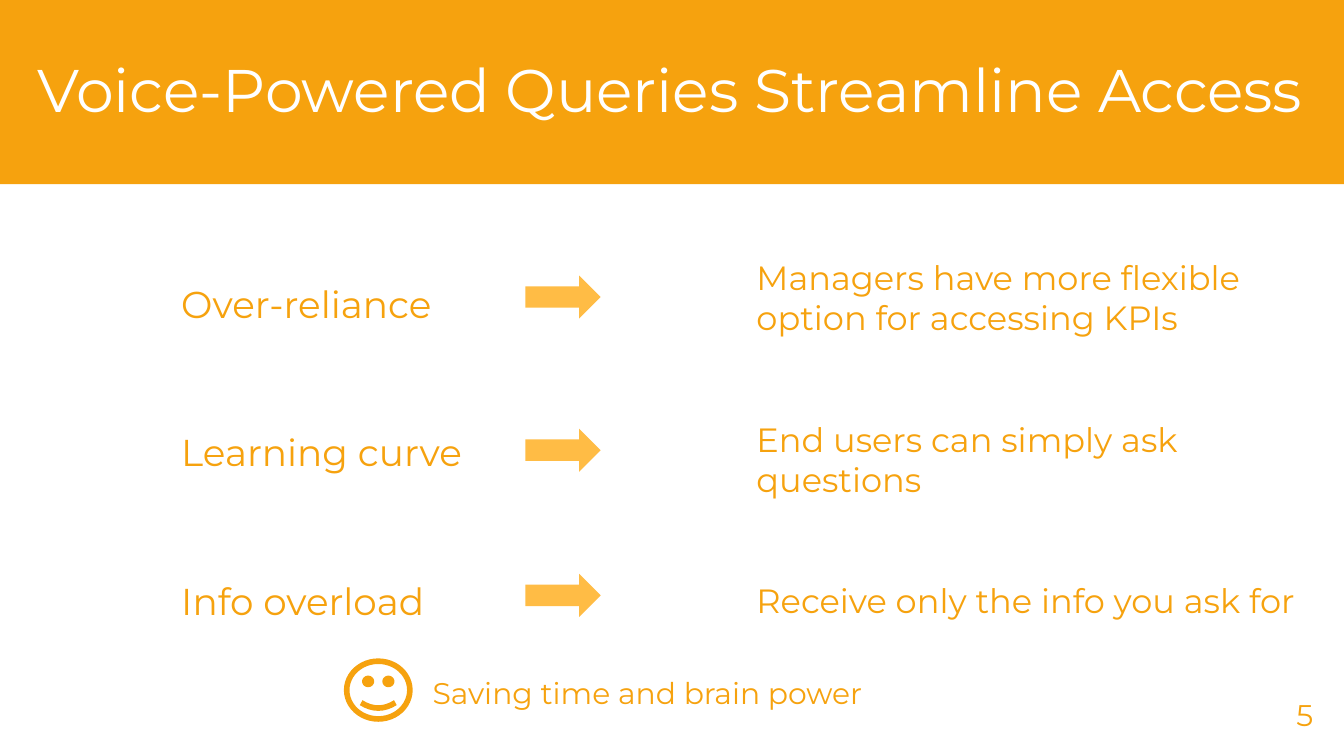
"""Build the slide on how voice-powered queries streamline access."""
from dataclasses import dataclass

from pptx import Presentation
from pptx.dml.color import RGBColor
from pptx.enum.shapes import MSO_SHAPE
from pptx.enum.text import MSO_ANCHOR, PP_ALIGN
from pptx.util import Inches, Pt

RECTANGLE = MSO_SHAPE.RECTANGLE
RIGHT_ARROW = MSO_SHAPE.RIGHT_ARROW
SMILEY = MSO_SHAPE.SMILEY_FACE
TOP, MIDDLE = MSO_ANCHOR.TOP, MSO_ANCHOR.MIDDLE
LEFT, RIGHT = PP_ALIGN.LEFT, PP_ALIGN.RIGHT


@dataclass(frozen=True)
class Theme:
    font: str = "Montserrat"
    orange: RGBColor = RGBColor(0xF6, 0xA2, 0x0E)
    amber: RGBColor = RGBColor(0xFF, 0xBC, 0x45)
    white: RGBColor = RGBColor(0xFF, 0xFF, 0xFF)
    title: float = 32.2
    problem: float = 20
    benefit: float = 18
    note: float = 16


theme = Theme()
prs = Presentation()
prs.slide_width, prs.slide_height = Inches(10), Inches(10 * 9 / 16)
slide = prs.slides.add_slide(prs.slide_layouts[6])


def add_text(box, lines, size, color=theme.orange, align=LEFT, anchor=TOP,
             line_spacing=1.0, gap=0):
    area = slide.shapes.add_textbox(*map(Inches, box))
    frame = area.text_frame
    frame.word_wrap = True
    frame.vertical_anchor = anchor
    frame.margin_left = frame.margin_right = Inches(0.1)
    frame.margin_top = frame.margin_bottom = Inches(0.1)
    frame.text = "\n".join(lines)
    for index, paragraph in enumerate(frame.paragraphs):
        paragraph.alignment = align
        paragraph.line_spacing = line_spacing
        paragraph.space_before = Pt(gap if index else 0)
        for run in paragraph.runs:
            run.font.name = theme.font
            run.font.size = Pt(size)
            run.font.color.rgb = color


def add_solid(preset, box, color):
    solid = slide.shapes.add_shape(preset, *map(Inches, box))
    solid.shadow.inherit = False
    solid.fill.solid()
    solid.fill.fore_color.rgb = color
    solid.line.fill.background()


add_solid(RECTANGLE, (-0.07, -0.05, 10.15, 1.42), theme.orange)
add_text((0.18, 0.29, 9.65, 0.63), ["Voice-Powered Queries Streamline Access"],
         theme.title, theme.white)

problems = ["Over-reliance", "Learning curve", "Info overload"]
benefits = [
    "Managers have more flexible option for accessing KPIs",
    "End users can simply ask questions",
    "Receive only the info you ask for",
]
add_text((1.25, 1.94, 2.29, 3.05), problems, theme.problem,
         line_spacing=1.15, gap=52)
for arrow_top in (2.05, 3.19, 4.27):
    add_solid(RIGHT_ARROW, (3.91, arrow_top, 0.56, 0.32), theme.amber)
add_text((5.53, 1.81, 4.29, 2.93), benefits, theme.benefit, gap=43.5)

smiley = slide.shapes.add_shape(SMILEY, Inches(2.58), Inches(4.92),
                                Inches(0.47), Inches(0.43))
smiley.shadow.inherit = False
smiley.adjustments[0] = 0.05
smiley.fill.background()
smiley.line.color.rgb = theme.orange
smiley.line.width = Pt(3)
add_text((3.12, 4.92, 3.61, 0.47), ["Saving time and brain power"], theme.note)

add_text((9.27, 5.1, 0.6, 0.43), ["5"], theme.note, align=RIGHT, anchor=MIDDLE)

prs.save("out.pptx")
